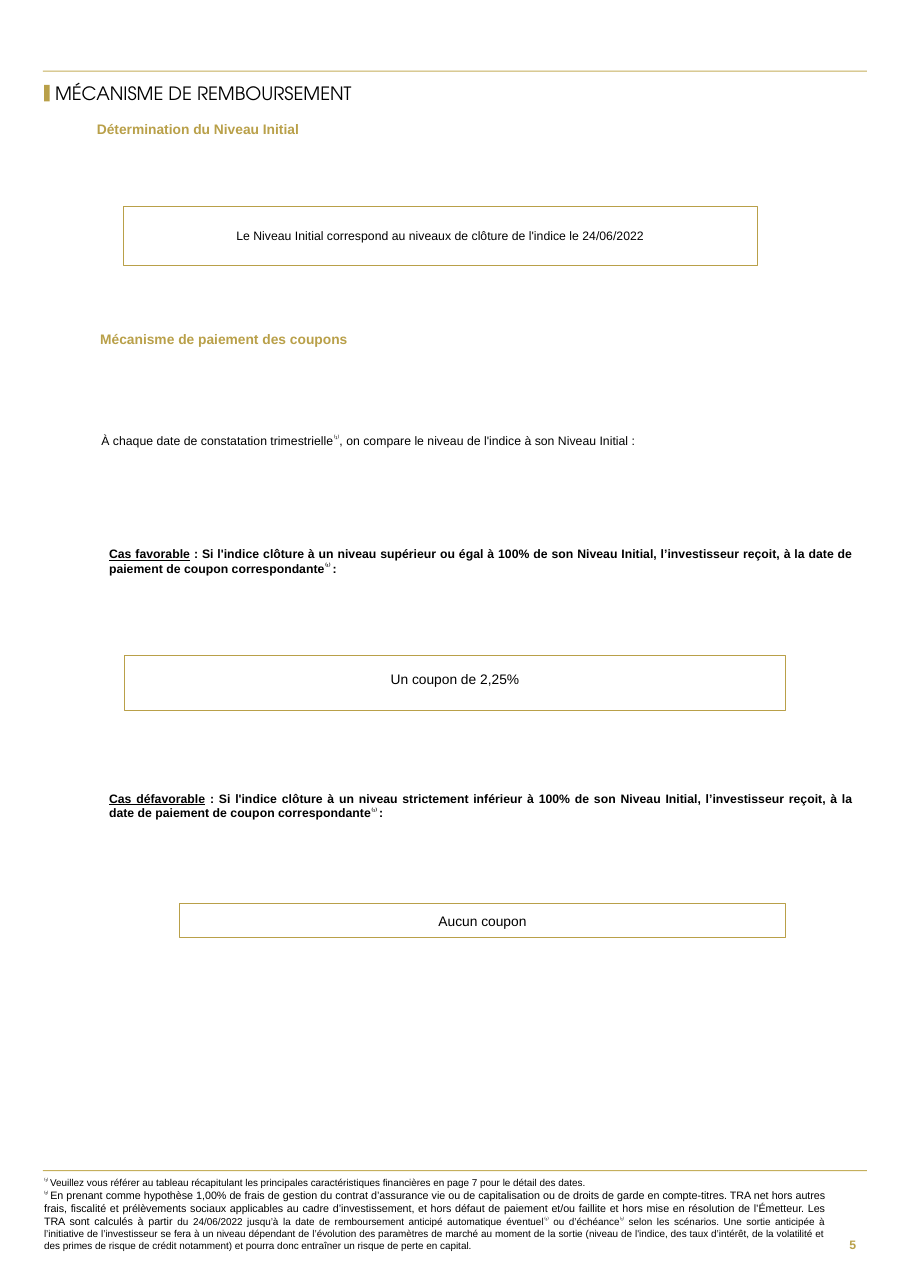
from pptx import Presentation
from pptx.dml.color import RGBColor
from pptx.enum.shapes import MSO_SHAPE
from pptx.enum.text import MSO_ANCHOR, PP_ALIGN
from pptx.util import Inches, Pt

COLORS = {"gold": "B9A049", "rule": "C5AF5C", "black": "000000", "white": "FFFFFF"}
SUPER = {"superscript": True}
NOTE_1 = ("⁽¹⁾", SUPER)


def color(name):
    """Return the named colour."""
    return RGBColor.from_string(COLORS[name])


def add_span(para, text, size=8, font="Arial", ink="black", bold=False,
             underline=False, superscript=False):
    """Add one formatted run to a paragraph."""
    span = para.add_run()
    span.text = text
    span.font.name = font
    span.font.size = Pt(size)
    span.font.bold = bold
    span.font.underline = underline
    span.font.color.rgb = color(ink)
    if superscript:
        span.font._element.set("baseline", "30000")


def write(shape, paragraphs, align=PP_ALIGN.LEFT, anchor=MSO_ANCHOR.TOP,
          insets=(0, 0, 0, 0), line_spacing=None, **style):
    """Fill a shape with paragraphs, each a list of (text, format) spans."""
    frame = shape.text_frame
    frame.word_wrap = True
    frame.vertical_anchor = anchor
    (frame.margin_left, frame.margin_top,
     frame.margin_right, frame.margin_bottom) = map(Inches, insets)
    for index, spans in enumerate(paragraphs):
        para = frame.add_paragraph() if index else frame.paragraphs[0]
        para.alignment = align
        if line_spacing:
            para.line_spacing = line_spacing
        for text, changes in spans:
            add_span(para, text, **{**style, **changes})


def add_text(page, area, paragraphs, **style):
    """Add a text box at (left, top, width, height)."""
    box = page.shapes.add_textbox(*map(Inches, area))
    write(box, paragraphs, **style)


def add_bar(page, area, fill):
    """Add a plain filled rectangle."""
    bar = page.shapes.add_shape(MSO_SHAPE.RECTANGLE, *map(Inches, area))
    bar.shadow.inherit = False
    bar.fill.solid()
    bar.fill.fore_color.rgb = color(fill)
    bar.line.fill.background()
    return bar


def add_result(page, area, text, size, line_width, insets):
    """Add a gold-outlined box with a centred statement."""
    box = add_bar(page, area, "white")
    box.line.color.rgb = color("gold")
    box.line.width = Pt(line_width)
    write(box, [[(text, {})]], size=size, align=PP_ALIGN.CENTER,
          anchor=MSO_ANCHOR.MIDDLE, insets=insets)


def add_heading(page, left, top, text):
    """Add a gold section heading."""
    add_text(page, (left, top, 6, 0.18), [[(text, {})]], size=9, ink="gold", bold=True)


def add_case(page, top, name, condition):
    """Add a coupon case with its underlined name and condition."""
    spans = [
        (name, {"underline": True}),
        (f" : Si l'indice clôture à un niveau {condition} à 100% de son Niveau Initial, "
         "l’investisseur reçoit, à la date de paiement de coupon correspondante", {}),
        ("⁽¹⁾ ", SUPER),
        (":", {}),
    ]
    add_text(page, (0.99, top, 6.76, 0.27), [spans], bold=True, align=PP_ALIGN.JUSTIFY)


def add_footer(page):
    """Add the footnotes and the page number."""
    reference = [
        ("⁽¹⁾ ", SUPER),
        ("Veuillez vous référer au tableau récapitulant les principales caractéristiques "
         "financières en page 7 pour le détail des dates.", {}),
    ]
    assumption = [
        ("⁽²⁾ ", SUPER),
        ("En prenant comme hypothèse 1,00% de frais de gestion du contrat d’assurance vie ou "
         "de capitalisation ou de droits de garde en compte-titres. TRA net hors autres frais, "
         "fiscalité et prélèvements sociaux applicables au cadre d’investissement, et hors "
         "défaut de paiement et/ou faillite et hors mise en résolution de l’Émetteur. Les TRA "
         "sont calculés à partir ", {"size": 7}),
        ("du 24/06/2022 jusqu’à la date de remboursement anticipé automatique éventuel", {}),
        NOTE_1,
        (" ou d’échéance", {}),
        NOTE_1,
        (" selon les scénarios. Une sortie anticipée à l’initiative de l’investisseur se fera "
         "à un niveau dépendant de l’évolution des paramètres de marché au moment de la sortie "
         "(niveau de l'indice, des taux d’intérêt, de la volatilité et des primes de risque de "
         "crédit notamment) et pourra donc entraîner un risque de perte en capital.", {}),
    ]
    add_text(page, (0.4, 10.68, 7.09, 0.68), [reference, assumption], size=6.5,
             align=PP_ALIGN.JUSTIFY)
    add_text(page, (7.48, 11.09, 0.39, 0.42), [[("5", {})]], ink="gold", bold=True,
             align=PP_ALIGN.RIGHT, anchor=MSO_ANCHOR.MIDDLE, insets=(0.1, 0.05, 0.1, 0.05))


def main():
    """Build the redemption mechanism page."""
    deck = Presentation()
    deck.slide_width, deck.slide_height = Inches(8.27), Inches(11.69)
    page = deck.slides.add_slide(deck.slide_layouts[6])

    for top in (0.64, 10.62):
        add_bar(page, (0.39, top, 7.48, 0.01), "rule")
    add_bar(page, (0.4, 0.77, 0.05, 0.15), "gold")
    add_text(page, (0.5, 0.73, 4.21, 0.25), [[("MÉCANISME DE REMBOURSEMENT", {})]],
             size=12, font="TeX Gyre Adventor", anchor=MSO_ANCHOR.MIDDLE, line_spacing=0.9)

    add_heading(page, 0.88, 1.1, "Détermination du Niveau Initial")
    add_result(page, (1.12, 1.87, 5.76, 0.54),
               "Le Niveau Initial correspond au niveaux de clôture de l'indice le 24/06/2022",
               size=8, line_width=0.5, insets=(0.12, 0.2, 0.12, 0.2))

    add_heading(page, 0.91, 3, "Mécanisme de paiement des coupons")
    add_text(page, (0.92, 3.93, 6.57, 0.13), [[
        ("À chaque date de constatation trimestrielle", {}),
        NOTE_1,
        (", on compare le niveau de l'indice à son Niveau Initial :", {}),
    ]], align=PP_ALIGN.JUSTIFY)

    add_case(page, 4.96, "Cas favorable", "supérieur ou égal")
    add_result(page, (1.13, 5.95, 6, 0.5), "Un coupon de 2,25%",
               size=9, line_width=0.75, insets=(0.12, 0.08, 0.12, 0.15))
    add_case(page, 7.18, "Cas défavorable", "strictement inférieur")
    add_result(page, (1.63, 8.2, 5.5, 0.31), "Aucun coupon",
               size=9, line_width=0.75, insets=(0.12, 0.08, 0.12, 0.08))

    add_footer(page)
    deck.save("out.pptx")


if __name__ == "__main__":
    main()
